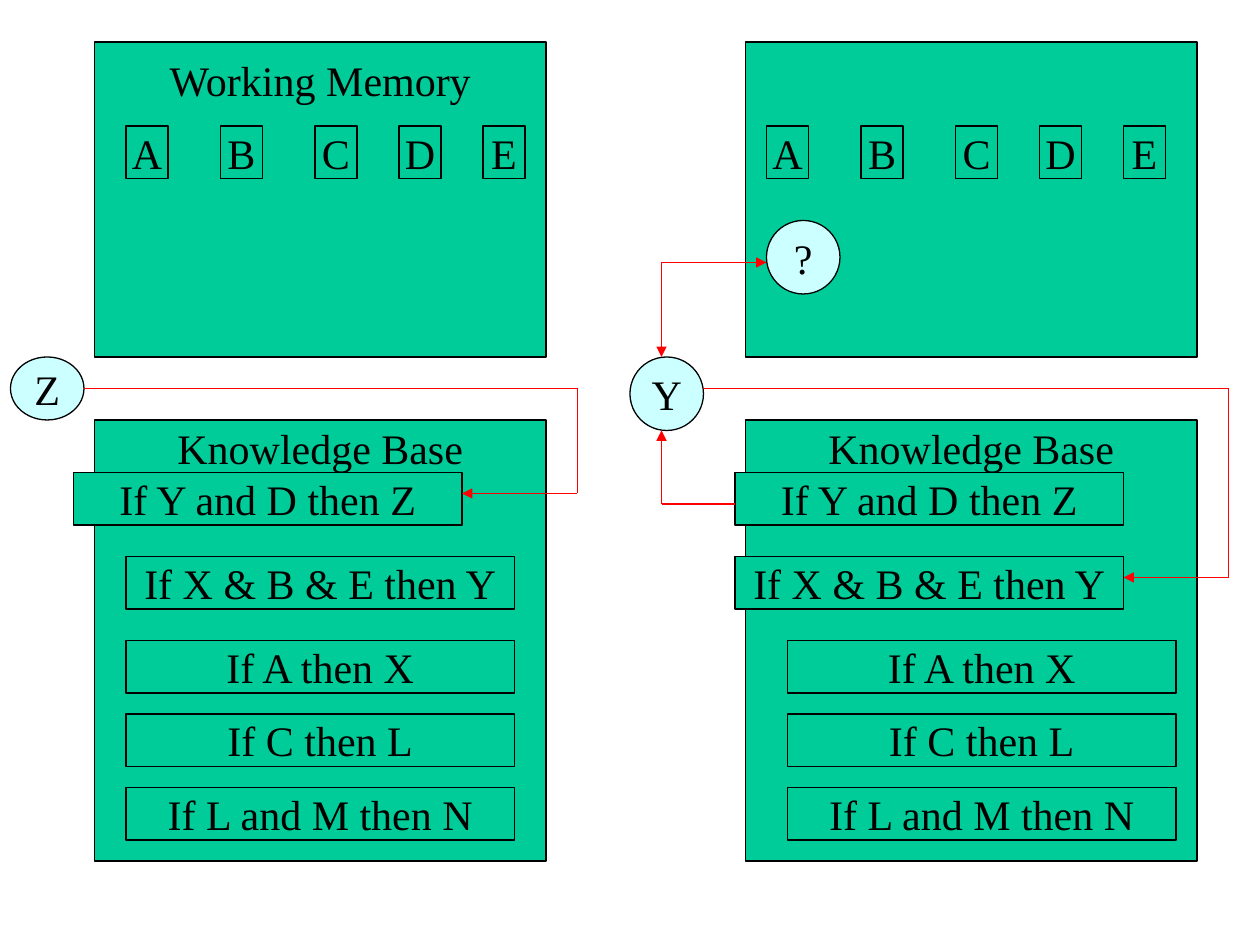
from lxml import etree
from pptx import Presentation
from pptx.dml.color import RGBColor
from pptx.enum.shapes import MSO_CONNECTOR, MSO_SHAPE
from pptx.enum.text import MSO_ANCHOR, PP_ALIGN
from pptx.oxml.ns import qn
from pptx.util import Inches, Pt

RECT, OVAL = MSO_SHAPE.RECTANGLE, MSO_SHAPE.OVAL
STRAIGHT = MSO_CONNECTOR.STRAIGHT
TOP, MIDDLE = MSO_ANCHOR.TOP, MSO_ANCHOR.MIDDLE
CENTER = PP_ALIGN.CENTER
COLORS = {"panel": "00CC99", "goal": "CCFFFF", "ink": "000000", "arrow": "FF0000"}
FONT = "Times New Roman"
CELL = Inches(1) // 12  # the slide is a grid of 120 columns by 90 rows

prs = Presentation()
prs.slide_width, prs.slide_height = 120 * CELL, 90 * CELL
slide = prs.slides.add_slide(prs.slide_layouts[6])


def add_box(parent, kind, fill, col, row, cols, rows, text="", top_gap=None):
    """Draw a labelled shape; top_gap (inches) puts the label at the top."""
    box = parent.add_shape(kind, col * CELL, row * CELL, cols * CELL, rows * CELL)
    box.shadow.inherit = False
    box.fill.solid()
    box.fill.fore_color.rgb = RGBColor.from_string(COLORS[fill])
    box.line.color.rgb = RGBColor.from_string(COLORS["ink"])
    box.line.width = Pt(0.75)
    if text:
        frame = box.text_frame
        frame.word_wrap = False
        frame.vertical_anchor = MIDDLE if top_gap is None else TOP
        if top_gap is not None:
            frame.margin_top = Inches(top_gap)
        label = frame.paragraphs[0]
        label.alignment = CENTER
        run = label.add_run()
        run.text = text
        run.font.name, run.font.size = FONT, Pt(24)
        run.font.color.rgb = RGBColor.from_string(COLORS["ink"])


def add_route(parent, points, arrow_at_end=True):
    """Join grid points with straight segments; the last may carry an arrowhead."""
    for i, (start, end) in enumerate(zip(points, points[1:]), 2):
        segment = parent.add_connector(STRAIGHT, *(v * CELL for v in start + end))
        segment.line.color.rgb = RGBColor.from_string(COLORS["arrow"])
        segment.line.width = Pt(0.75)
        if arrow_at_end and i == len(points):
            etree.SubElement(segment.line._get_or_add_ln(), qn("a:tailEnd"), type="triangle")
        etree.SubElement(segment._element.spPr, qn("a:effectLst"))


# Two states of the system: panel column, memory title, fact column, rule columns
facts = {"A": 0, "B": 9, "C": 18, "D": 26, "E": 34}
rules = {"If Y and D then Z": 45, "If X & B & E then Y": 53, "If A then X": 61,
         "If C then L": 68, "If L and M then N": 75}
states = [
    (slide.shapes, 9, "Working Memory", 12, [7, 12, 12, 12, 12]),
    (slide.shapes.add_group_shape().shapes, 71, "", 73, [70, 70, 75, 75, 75]),
]
for parent, panel_col, memory_title, fact_col, rule_cols in states:
    add_box(parent, RECT, "panel", panel_col, 4, 43, 30, memory_title, 0.1)
    add_box(parent, RECT, "panel", panel_col, 40, 43, 42, "Knowledge Base", 0.02)
    for fact, offset in facts.items():
        add_box(parent, RECT, "panel", fact_col + offset, 12, 4, 5, fact)
    for (rule, row), col in zip(rules.items(), rule_cols):
        add_box(parent, RECT, "panel", col, row, 37, 5, rule)

# Goal Z is matched to the first rule
first_goal = slide.shapes.add_group_shape().shapes
add_box(first_goal, OVAL, "goal", 1, 34, 7, 6, "Z")
add_route(first_goal, [(8, 37), (55, 37), (55, 47), (44, 47)])

# Subgoal Y is looked up in memory, then matched to the second rule
subgoal = slide.shapes.add_group_shape().shapes
add_box(subgoal, OVAL, "goal", 60, 34, 7, 7, "Y")
add_box(subgoal, OVAL, "goal", 73, 21, 7, 7, "?")
add_route(subgoal, [(63, 25), (73, 25)])
add_route(subgoal, [(63, 25), (63, 34)])
add_route(subgoal, [(70, 48), (63, 48), (63, 41)])
add_route(subgoal, [(67, 37), (117, 37), (117, 55), (107, 55)])

prs.save("out.pptx")
